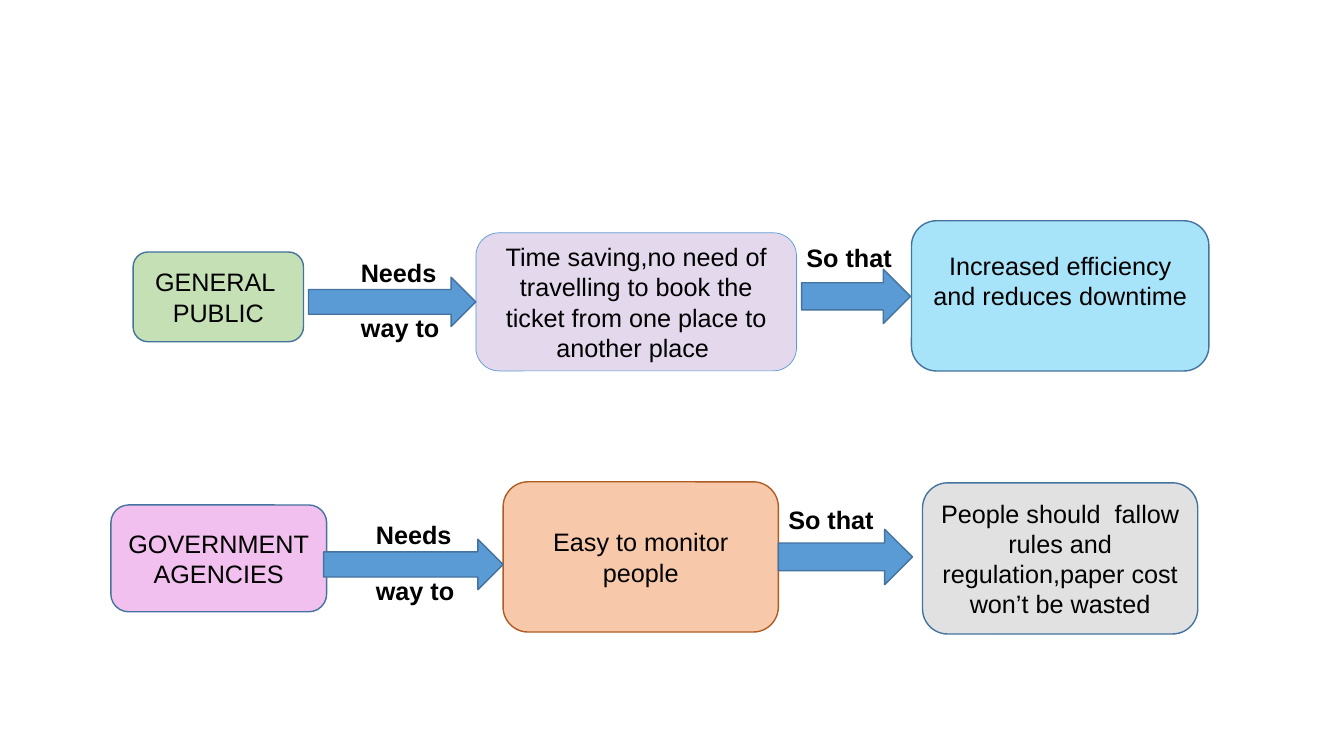
import pptx
import pptx.dml.color
import pptx.enum.shapes
import pptx.enum.text
import pptx.oxml.ns
import pptx.util

RGB = pptx.dml.color.RGBColor
SHAPE = pptx.enum.shapes.MSO_SHAPE
ALIGN = pptx.enum.text.PP_ALIGN
ANCHOR = pptx.enum.text.MSO_ANCHOR
Pt = pptx.util.Pt
qn = pptx.oxml.ns.qn

BLACK = RGB(0x00, 0x00, 0x00)
BLUE = RGB(0x5B, 0x9B, 0xD5)
DARK_BLUE = RGB(0x43, 0x73, 0x9E)
BROWN = RGB(0xAF, 0x5C, 0x24)
PURPLE = RGB(0x70, 0x30, 0xA0)
SKY = RGB(0x00, 0xB0, 0xF0)
PINK = RGB(0xDD, 0x53, 0xD2)
ORANGE = RGB(0xED, 0x7D, 0x31)
GREY = RGB(0xD9, 0xD9, 0xD9)
GREEN = RGB(0xC5, 0xE0, 0xB4)


def px(n):
    """Convert px, 100 to the inch, to EMU."""
    return pptx.util.Emu(n * 9144)


class FlowSlide:
    font = "Arial"
    size = Pt(18)

    def __init__(self, prs):
        self.s = prs.slides.add_slide(prs.slide_layouts[1])
        title = self.s.shapes.title
        title.element.getparent().remove(title.element)

    def add_text(self, tf, lines, bold=False, align=ALIGN.LEFT):
        tf.word_wrap = True
        for i, line in enumerate(lines):
            p = tf.paragraphs[0] if i == 0 else tf.add_paragraph()
            p.alignment = align
            r = p.add_run()
            r.text = line
            r.font.name = self.font
            r.font.size = self.size
            r.font.bold = bold
            r.font.color.rgb = BLACK

    def shape(self, kind, box, fill, line, width):
        sp = self.s.shapes.add_shape(kind, *map(px, box))
        sp.shadow.inherit = False
        sp.fill.solid()
        sp.fill.fore_color.rgb = fill
        sp.line.color.rgb = line
        sp.line.width = Pt(width)
        return sp

    def card(self, box, lines, fill, opacity=100, line=DARK_BLUE, width=1, bottom=5):
        """Add a rounded box; bottom is the inset below its text."""
        sp = self.shape(SHAPE.ROUNDED_RECTANGLE, box, fill, line, width)
        if opacity < 100:
            color = sp.element.spPr.find(qn("a:solidFill"))[0]
            color.append(color.makeelement(qn("a:alpha"), {"val": str(opacity * 1000)}))
        tf = sp.text_frame
        tf.vertical_anchor = ANCHOR.MIDDLE
        tf.margin_bottom = px(bottom)
        self.add_text(tf, lines, align=ALIGN.CENTER)

    def arrow(self, box):
        self.shape(SHAPE.RIGHT_ARROW, box, BLUE, DARK_BLUE, 1)

    def label(self, box, text):
        sp = self.s.shapes.add_textbox(*map(px, box))
        self.add_text(sp.text_frame, [text], bold=True)

    def body(self, box, text):
        """Move the body placeholder and fill it with unbulleted text."""
        sp = self.s.placeholders[1]
        sp.left, sp.top, sp.width, sp.height = map(px, box)
        tf = sp.text_frame
        tf.auto_size = pptx.enum.text.MSO_AUTO_SIZE.NONE
        self.add_text(tf, [text], bold=True)
        pPr = tf.paragraphs[0]._p.get_or_add_pPr()
        pPr.set("marL", "0")
        pPr.set("indent", "0")
        pPr.append(pPr.makeelement(qn("a:buNone"), {}))


def main():
    prs = pptx.Presentation()
    prs.slide_width, prs.slide_height = px(1333), px(750)
    flow = FlowSlide(prs)

    flow.body((348, 305, 165, 58), "way to")

    flow.card((472, 231, 318, 137),
              ["Time saving,no need of travelling to book the ticket "
               "from one place to another place "],
              PURPLE, 19, BLUE, 0.5)
    flow.card((904, 219, 295, 149), ["Increased efficiency and reduces downtime"],
              SKY, 34, bottom=35)
    flow.card((110, 501, 214, 106), ["GOVERNMENT", "AGENCIES"], PINK, 36)
    flow.card((499, 478, 273, 149), ["Easy to monitor people"], ORANGE, 41, BROWN)
    flow.card((915, 479, 273, 150),
              ["People should  fallow rules and regulation,paper cost won’t be wasted"],
              GREY, 77)

    for box in ((306, 275, 166, 49), (795, 267, 108, 54),
                (321, 535, 178, 50), (772, 525, 133, 55)):
        flow.arrow(box)

    flow.card((132, 250, 169, 89), ["GENERAL ", "PUBLIC"], GREEN)

    for left, top, width, text in (
        (348, 250, 200, "Needs"),
        (363, 510, 105, "Needs"),
        (363, 566, 107, "way to"),
        (790, 235, 156, "So that"),
        (772, 495, 158, "So that"),
    ):
        flow.label((left, top, width, 40), text)

    prs.save("out.pptx")


if __name__ == "__main__":
    main()
